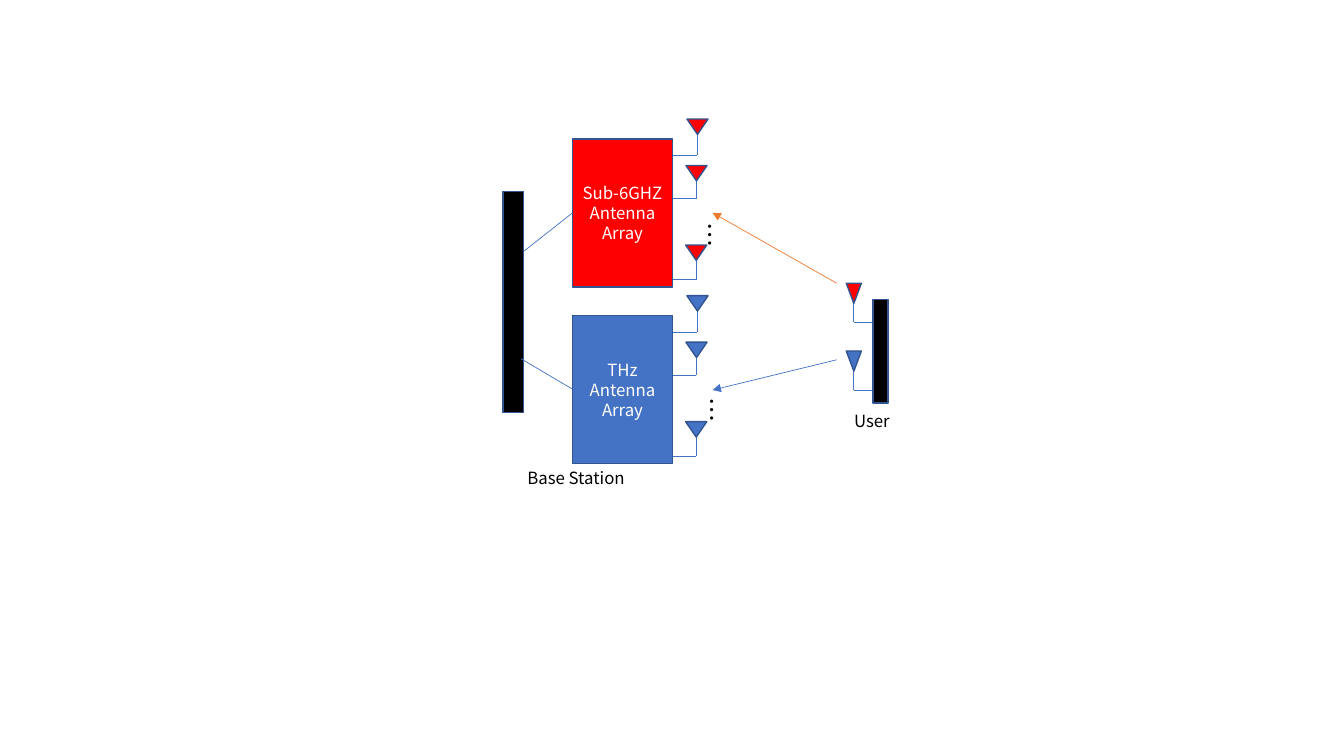
"""Build a slide of a dual-band base station linked to a user."""
from lxml import etree
from pptx import Presentation
from pptx.dml.color import RGBColor
from pptx.enum import shapes, text
from pptx.oxml import ns
from pptx.util import Pt

FONT = "Noto Sans CJK KR"
RED, BLUE, ORANGE, BLACK, WHITE, OUTLINE = "FF0000", "4472C4", "ED7D31", "000000", "FFFFFF", "325491"

presentation = Presentation()
presentation.slide_width, presentation.slide_height = Pt(960), Pt(540)
slide = presentation.slides.add_slide(presentation.slide_layouts[6])


def add_block(kind, left, top, width, height, fill=None, label="", color=BLACK, size=12, vertical=False):
    box = [Pt(value) for value in (left, top, width, height)]
    if fill:
        shape = slide.shapes.add_shape(kind, *box)
        shape.shadow.inherit = False
        shape.fill.solid()
        shape.fill.fore_color.rgb = RGBColor.from_string(fill)
        shape.line.color.rgb = RGBColor.from_string(OUTLINE)
        shape.line.width = Pt(1)
    else:
        shape = slide.shapes.add_textbox(*box)
    if label:
        frame = shape.text_frame
        frame.text = label
        frame.word_wrap = True
        if fill:
            frame.vertical_anchor = text.MSO_ANCHOR.MIDDLE
        else:
            frame.auto_size = text.MSO_AUTO_SIZE.SHAPE_TO_FIT_TEXT
        if vertical:
            frame._txBody.bodyPr.set("vert", "eaVert")
        for paragraph in frame.paragraphs:
            paragraph.alignment = text.PP_ALIGN.LEFT if vertical else text.PP_ALIGN.CENTER
            for run in paragraph.runs:
                run.font.size = Pt(size)
                run.font.name = FONT
                run.font.color.rgb = RGBColor.from_string(color)
                etree.SubElement(run.font._element, ns.qn("a:ea"), typeface=FONT)
    return shape


def add_line(start_x, start_y, end_x, end_y, color=BLUE, arrow=False):
    line = slide.shapes.add_connector(
        shapes.MSO_CONNECTOR.STRAIGHT, Pt(start_x), Pt(start_y), Pt(end_x), Pt(end_y))
    line.line.color.rgb = RGBColor.from_string(color)
    line.line.width = Pt(0.5)
    if arrow:
        etree.SubElement(line.line._get_or_add_ln(), ns.qn("a:tailEnd"), type="triangle")
    etree.SubElement(line._element.spPr, ns.qn("a:effectLst"))


RECTANGLE = shapes.MSO_SHAPE.RECTANGLE
TRIANGLE = shapes.MSO_SHAPE.ISOSCELES_TRIANGLE

add_block(RECTANGLE, 359.3, 137, 14.7, 157.5, BLACK)
add_block(RECTANGLE, 623.5, 213.8, 10.8, 74.2, BLACK)

antennas = []
for color, shift in ((RED, 0), (BLUE, 126.2)):
    for mast_x, head_top, feed_y in ((498.2, 85, 111), (497.5, 118.2, 141.8), (497.3, 175, 199.7)):
        antennas.append((color, 479.5, mast_x, head_top + shift, feed_y + shift, 15.1, 11))
for color, shift in ((RED, 0), (BLUE, 48.4)):
    antennas.append((color, 622.8, 609.9, 202.3 + shift, 230.2 + shift, 10.8, 14.4))

for color, feed_x, mast_x, head_top, feed_y, width, height in antennas:
    add_line(feed_x, feed_y, mast_x, feed_y)
    add_line(mast_x, feed_y, mast_x, head_top + height)
    head = add_block(TRIANGLE, mast_x - width / 2, head_top, width, height, color)
    head.rotation = 180

for label, top, color in (("Sub-6GHZ\nAntenna\nArray", 99.3, RED), ("THz Antenna\nArray", 225.5, BLUE)):
    add_block(RECTANGLE, 409, top, 71.3, 105.8, color, label, WHITE)

for left, top, height in ((486, 151.9, 51.8), (487.1, 277.2, 86.4)):
    add_block(None, left, top, 36, height, label="…", size=18, vertical=True)

for label, left, top, width in (("Base Station", 359.3, 330.5, 104.4), ("User", 576.3, 290.1, 92.9)):
    add_block(None, left, top, width, 21.6, label=label)

add_line(409, 152, 374.4, 179.3)
add_line(372.2, 256.3, 409, 278)
add_line(597.6, 202.3, 509, 152, ORANGE, arrow=True)
add_line(597.6, 257, 509, 278.6, arrow=True)

presentation.save("out.pptx")
